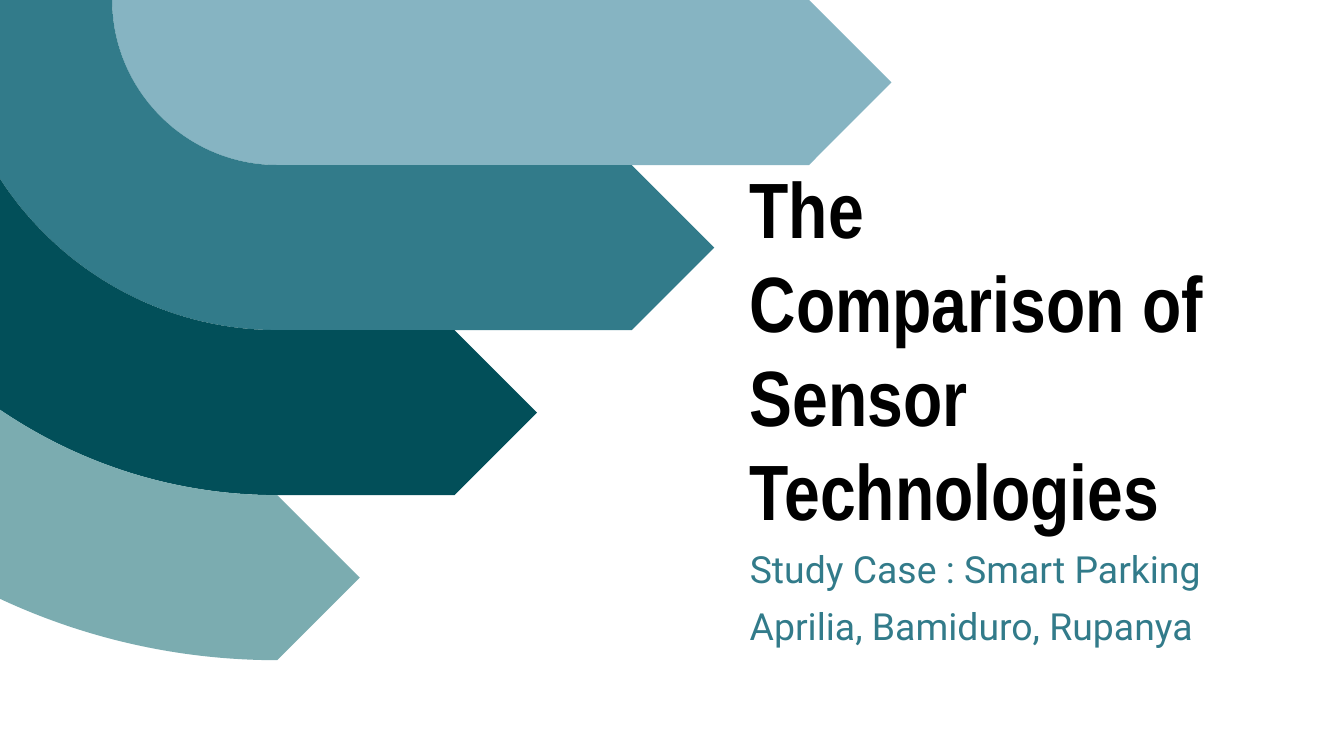
from lxml import etree
from pptx import Presentation
from pptx import util as u
from pptx.dml.color import RGBColor
from pptx.enum import text
from pptx.oxml.ns import qn

BAND = 3.12           # width of each band, also the step between arcs
CENTRE_X = 5.24       # common centre of the arcs, on the top edge
TIP = 1.56            # length of an arrow point
FIRST_END = 15.29     # where the straight part of the top band ends
END_STEP = 3.35       # how much shorter each following band is
CURVE = 0.55          # Bezier handle length of a quarter circle
TEXT_LEFT, TEXT_WIDTH = 13.92, 9.37
TEAL = "327B8A"
BAND_COLOURS = ["86B4C2", TEAL, "024F59", "7BACB0"]


def colour(value):
    return RGBColor.from_string(value)


def quarter_arc(radius):
    """Start, two handles and end of an arc from the top edge to the bottom."""
    handle = radius * CURVE
    left = CENTRE_X - radius
    return [(left, 0), (left, handle), (CENTRE_X - handle, radius),
            (CENTRE_X, radius)]


def bend(shape, first):
    """Turn three line segments, starting at index first, into one curve."""
    path = shape._element.find(".//" + qn("a:path"))
    lines = path.findall(qn("a:lnTo"))[first:first + 3]
    curve = etree.Element(qn("a:cubicBezTo"))
    lines[0].addprevious(curve)
    for line in lines:
        curve.append(line[0])
        path.remove(line)


def add_band(group, index, fill):
    """Add one curved band with an arrow point."""
    top, bottom = index * BAND, (index + 1) * BAND
    end = FIRST_END - index * END_STEP
    points = quarter_arc(bottom)
    points += [(end, bottom), (end + TIP, top + BAND / 2), (end, top)]
    if index:
        points += quarter_arc(top)[::-1]
    points = [(u.Cm(x), u.Cm(y)) for x, y in points]
    builder = group.shapes.build_freeform(*points[0])
    builder.add_line_segments(points[1:], close=True)
    shape = builder.convert_to_shape()
    if index:
        bend(shape, 7)
    bend(shape, 0)
    shape.shadow.inherit = False
    shape.fill.solid()
    shape.fill.fore_color.rgb = colour(fill)
    shape.line.fill.background()


def write_text(shape, top, height, words, font, size, fill,
               bold=False, anchor=text.MSO_ANCHOR.TOP):
    """Place a text shape in the text column and write its one paragraph."""
    shape.left, shape.top = u.Cm(TEXT_LEFT), u.Cm(top)
    shape.width, shape.height = u.Cm(TEXT_WIDTH), u.Cm(height)
    frame = shape.text_frame
    frame.word_wrap = True
    frame.auto_size = text.MSO_AUTO_SIZE.NONE
    frame.vertical_anchor = anchor
    frame.margin_left = frame.margin_right = u.Cm(0.25)
    frame.margin_top = frame.margin_bottom = u.Cm(0.25)
    paragraph = frame.paragraphs[0]
    paragraph.alignment = text.PP_ALIGN.LEFT
    paragraph.space_before = u.Pt(0)
    run = paragraph.add_run()
    run.text = words
    run.font.name, run.font.size, run.font.bold = font, u.Pt(size), bold
    run.font.color.rgb = colour(fill)


def main():
    presentation = Presentation()
    presentation.slide_width, presentation.slide_height = u.Cm(25.4), u.Cm(14.29)
    slide = presentation.slides.add_slide(presentation.slide_layouts[0])

    # Nested arrow bands
    group = slide.shapes.add_group_shape()
    for index, fill in enumerate(BAND_COLOURS):
        add_band(group, index, fill)

    # Title, subtitle and authors
    write_text(slide.shapes.title, 2.84, 7.54,
               "The Comparison of Sensor Technologies", "Arial Narrow", 42,
               "000000", bold=True, anchor=text.MSO_ANCHOR.BOTTOM)
    write_text(slide.placeholders[1], 10.08, 1.63,
               "Study Case : Smart Parking", "Roboto", 20, TEAL)
    authors = slide.shapes.add_textbox(0, 0, 0, 0)
    write_text(authors, 11.15, 1.63,
               "Aprilia, Bamiduro, Rupanya", "Roboto", 20, TEAL)

    presentation.save("out.pptx")


if __name__ == "__main__":
    main()
